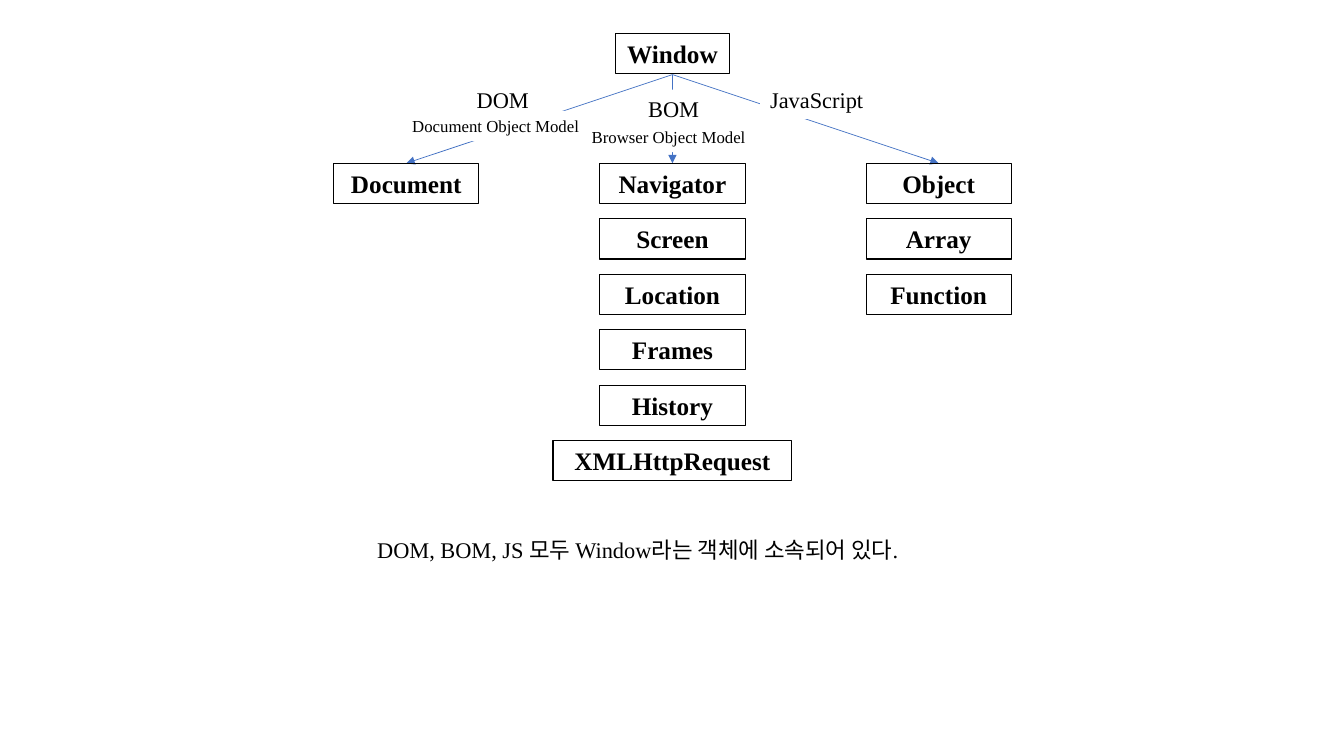
"""Build a slide showing the browser object tree under Window."""
from lxml import etree
from pptx import Presentation
from pptx import util as u
from pptx.dml.color import RGBColor
from pptx.enum import shapes, text
from pptx.oxml.ns import qn

COLORS = {"ink": "000000", "paper": "FFFFFF", "arrow": "4472C4"}
FONT = "Times New Roman"
CENTER_X = 6.67
WINDOW_TOP, FIRST_ROW_TOP = 0.33, 1.62
BOX_HEIGHT, BOX_WIDTH, ROW_PITCH, BRANCH_PITCH = 0.4, 1.44, 0.55, 2.64
WIDE_BOXES = {"Window": 1.13, "XMLHttpRequest": 2.37}
BRANCHES = [
    ["Document"],
    ["Navigator", "Screen", "Location", "Frames", "History", "XMLHttpRequest"],
    ["Object", "Array", "Function"],
]
LABELS = [
    ("DOM", 4.63, 0.81, 0.75, 0.37, 16),
    ("BOM", 6.33, 0.89, 0.75, 0.37, 16),
    ("JavaScript", 7.54, 0.81, 1.13, 0.37, 16),
    ("Document Object Model", 3.99, 1.1, 1.98, 0.3, 12),
    ("Browser Object Model", 5.77, 1.21, 1.98, 0.3, 12),
]
SUMMARY = "DOM, BOM, JS 모두 Window라는 객체에 소속되어 있다."


def color(name):
    """Return the named palette colour."""
    return RGBColor.from_string(COLORS[name])


def write(holder, wording, size, align, bold=False):
    """Put one formatted paragraph into a shape or text box."""
    frame = holder.text_frame
    frame.word_wrap = True
    frame.vertical_anchor = text.MSO_ANCHOR.TOP
    frame.text = wording
    paragraph = frame.paragraphs[0]
    paragraph.alignment = align
    font = paragraph.runs[0].font
    font.name, font.size, font.bold = FONT, u.Pt(size), bold
    font.color.rgb = color("ink")


def add_rectangle(slide, left, top, width, height):
    """Add a rectangle without a shadow."""
    rectangle = slide.shapes.add_shape(
        shapes.MSO_SHAPE.RECTANGLE, *map(u.Inches, (left, top, width, height)))
    rectangle.shadow.inherit = False
    return rectangle


def add_object_box(slide, name, center, top):
    """Add an outlined box for one browser object."""
    width = WIDE_BOXES.get(name, BOX_WIDTH)
    box = add_rectangle(slide, center - width / 2, top, width, BOX_HEIGHT)
    box.fill.background()
    box.line.color.rgb = color("ink")
    box.line.width = u.Pt(0.75)
    write(box, name, 18, text.PP_ALIGN.CENTER, bold=True)


def add_label(slide, wording, left, top, width, height, size):
    """Add a branch label that masks the arrow behind it."""
    label = add_rectangle(slide, left, top, width, height)
    label.fill.solid()
    label.fill.fore_color.rgb = color("paper")
    label.line.fill.background()
    write(label, wording, size, text.PP_ALIGN.LEFT)


def add_branch_arrow(slide, center):
    """Add an arrow from Window down to the head of a branch."""
    window_bottom = WINDOW_TOP + BOX_HEIGHT + 0.01
    ends = (CENTER_X, window_bottom, center, FIRST_ROW_TOP)
    arrow = slide.shapes.add_connector(
        shapes.MSO_CONNECTOR.STRAIGHT, *map(u.Inches, ends))
    arrow.line.color.rgb = color("arrow")
    arrow.line.width = u.Pt(0.5)
    etree.SubElement(arrow.line._get_or_add_ln(), qn("a:tailEnd"), type="triangle")
    etree.SubElement(arrow._element.spPr, qn("a:effectLst"))


def add_summary(slide):
    """Add the closing sentence below the tree."""
    summary = slide.shapes.add_textbox(*map(u.Inches, (3.45, 5.27, 5.75, 0.37)))
    write(summary, SUMMARY, 16, text.PP_ALIGN.CENTER)


def main():
    """Assemble and save the slide."""
    deck = Presentation()
    deck.slide_width, deck.slide_height = u.Inches(13.33), u.Inches(7.5)
    slide = deck.slides.add_slide(deck.slide_layouts.get_by_name("Blank"))
    add_summary(slide)
    add_object_box(slide, "Window", CENTER_X, WINDOW_TOP)
    for column, names in enumerate(BRANCHES):
        center = CENTER_X + (column - 1) * BRANCH_PITCH
        add_branch_arrow(slide, center)
        for row, name in enumerate(names):
            add_object_box(slide, name, center, FIRST_ROW_TOP + row * ROW_PITCH)
    for label in LABELS:
        add_label(slide, *label)
    deck.save("out.pptx")


main()
